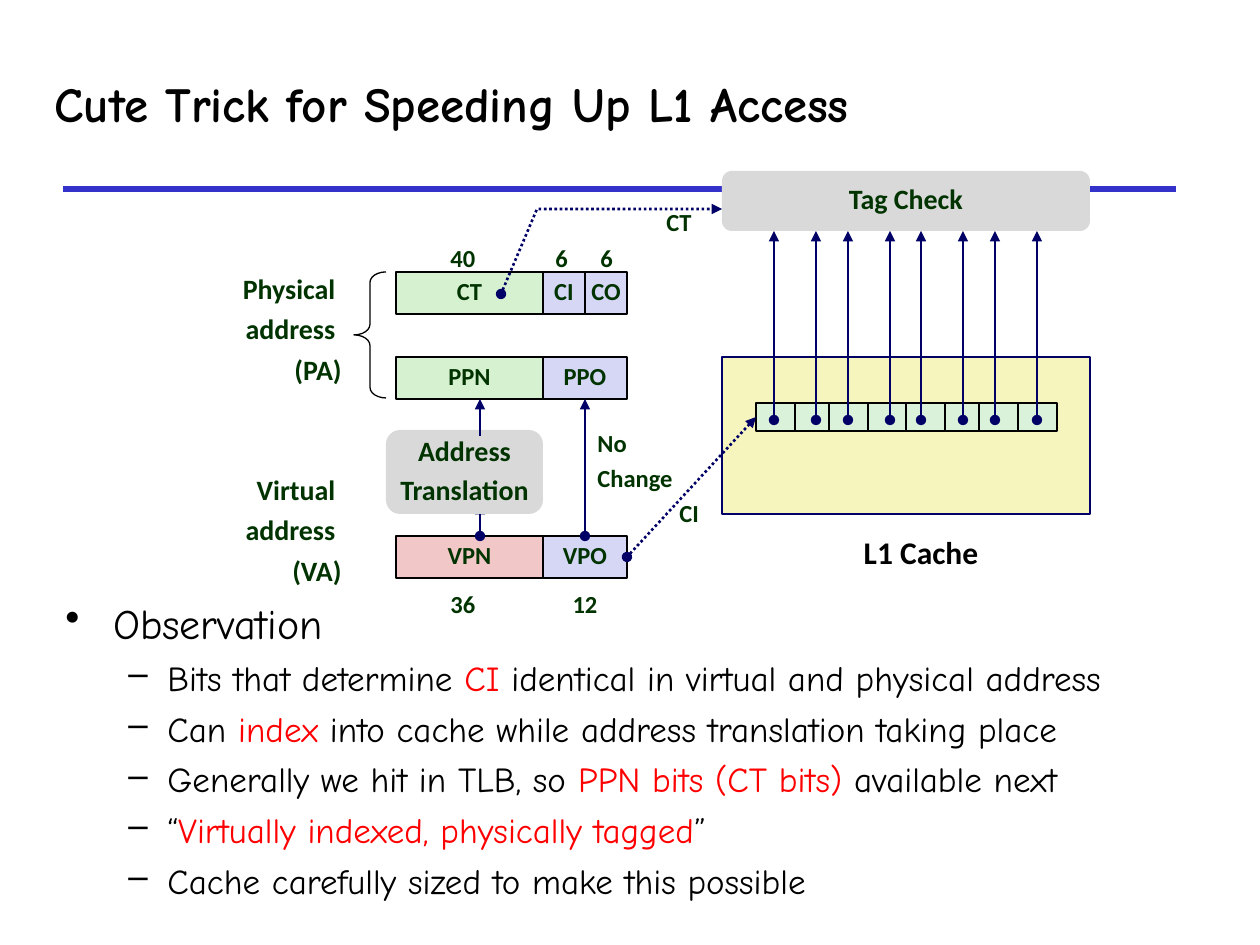
from lxml.etree import SubElement
from pptx import Presentation
from pptx.dml.color import RGBColor
from pptx.enum.dml import MSO_LINE
from pptx.enum.shapes import MSO_CONNECTOR, MSO_SHAPE
from pptx.enum.text import MSO_ANCHOR, MSO_AUTO_SIZE, PP_ALIGN
from pptx.oxml.ns import qn
from pptx.util import Emu, Inches, Pt

SCALE = 914400 / 126
LEFT, CENTER, RIGHT = PP_ALIGN.LEFT, PP_ALIGN.CENTER, PP_ALIGN.RIGHT
TOP_SIDE, LEFT_SIDE, BOTTOM_SIDE, RIGHT_SIDE = range(4)


def px(length):
    return Emu(round(length * SCALE))


def color(value):
    return RGBColor.from_string(value)


class SlideBuilder:
    heading_font = "Comic Neue"
    label_font = "Calibri"
    black = "000000"
    red = "FF0000"
    label = "003300"
    navy = "000066"
    rule = "3333CC"
    green = "D5F1CF"
    blue = "D6D6F5"
    pink = "F1C7C7"
    gray = "D9D9D9"
    yellow = "F6F5BD"
    mint = "DBF2DA"

    def __init__(self, presentation):
        self.slide = presentation.slides.add_slide(presentation.slide_layouts[6])
        self.shapes = self.slide.shapes

    def set_font(self, paragraph, name, size, ink, bold):
        font = paragraph.font
        font.name, font.size, font.bold = name, Pt(size), bold
        font.color.rgb = color(ink)

    def write_label(self, frame, text, size, align, ink=label, spacing=0.88, gap=5.2):
        for index, line in enumerate(text.split("\n")):
            paragraph = frame.add_paragraph() if index else frame.paragraphs[0]
            paragraph.add_run().text = line
            paragraph.alignment = align
            paragraph.line_spacing = spacing
            if index:
                paragraph.space_before = Pt(gap)
            self.set_font(paragraph, self.label_font, size, ink, True)

    def text_box(self, left, top, width, height, wrap=True):
        box = self.shapes.add_textbox(px(left), px(top), px(width), px(height))
        box.text_frame.word_wrap = wrap
        return box.text_frame

    def text_label(self, text, left, top, width, height, size=14, align=LEFT, wrap=False, **style):
        frame = self.text_box(left, top, width, height, wrap)
        frame.auto_size = MSO_AUTO_SIZE.SHAPE_TO_FIT_TEXT
        self.write_label(frame, text, size, align, **style)

    def title(self, text, left, top, width, height):
        frame = self.text_box(left, top, width, height)
        frame.vertical_anchor = MSO_ANCHOR.MIDDLE
        paragraph = frame.paragraphs[0]
        paragraph.add_run().text = text
        self.set_font(paragraph, self.heading_font, 28, self.black, True)

    def bullet(self, paragraph, level, runs):
        character, indent, hanging, size = (("•", 0.38, 0.38, 24), ("–", 0.81, 0.31, 20))[level]
        paragraph.level = level
        properties = paragraph._p.get_or_add_pPr()
        properties.set("marL", str(Inches(indent)))
        properties.set("indent", str(-Inches(hanging)))
        bullet_color = SubElement(properties, qn("a:buClr"))
        SubElement(bullet_color, qn("a:srgbClr"), val=self.black)
        SubElement(properties, qn("a:buChar"), char=character)
        if level:
            paragraph.space_before = Pt(5)
        for index, text in enumerate(runs):
            run = paragraph.add_run()
            run.text = text
            if index % 2:
                run.font.color.rgb = color(self.red)
        self.set_font(paragraph, self.heading_font, size, self.black, False)

    def bullets(self, items, left, top, width, height):
        frame = self.text_box(left, top, width, height)
        for index, (level, runs) in enumerate(items):
            paragraph = frame.add_paragraph() if index else frame.paragraphs[0]
            self.bullet(paragraph, level, runs)

    def box(self, left, top, width, height, fill, text="", size=14,
            kind=MSO_SHAPE.RECTANGLE, line=black, weight=0.75):
        shape = self.shapes.add_shape(kind, px(left), px(top), px(width), px(height))
        shape.shadow.inherit = False
        if fill:
            shape.fill.solid()
            shape.fill.fore_color.rgb = color(fill)
        else:
            shape.fill.background()
        if line:
            shape.line.color.rgb = color(line)
            shape.line.width = Pt(weight)
        else:
            shape.line.fill.background()
        if text:
            frame = shape.text_frame
            frame.word_wrap = False
            frame.vertical_anchor = MSO_ANCHOR.MIDDLE
            self.write_label(frame, text, size, CENTER)
        return shape

    def rounded_box(self, text, *bounds):
        return self.box(*bounds, self.gray, text, 16, MSO_SHAPE.ROUNDED_RECTANGLE, line=None)

    def brace(self, *bounds):
        brace = self.box(*bounds, None, kind=MSO_SHAPE.LEFT_BRACE)
        brace.adjustments[0] = 0.33

    def style_line(self, line, ink, weight, dotted=False, head=None, tail=None):
        line.color.rgb = color(ink)
        line.width = Pt(weight)
        if dotted:
            line.dash_style = MSO_LINE.ROUND_DOT
        element = line._get_or_add_ln()
        for tag, end in (("a:headEnd", head), ("a:tailEnd", tail)):
            if end:
                SubElement(element, qn(tag), type=end)

    def line(self, x1, y1, x2, y2, ink=navy, weight=0.75, **ends):
        connector = self.shapes.add_connector(MSO_CONNECTOR.STRAIGHT, px(x1), px(y1), px(x2), px(y2))
        SubElement(connector._element.spPr, qn("a:effectLst"))
        self.style_line(connector.line, ink, weight, **ends)
        return connector

    def arrow(self, x1, y1, x2, y2, head="oval", **style):
        return self.line(x1, y1, x2, y2, head=head, tail="triangle", **style)

    def dotted_path(self, start, *points):
        builder = self.shapes.build_freeform(*start, scale=SCALE)
        builder.add_line_segments(points, close=False)
        shape = builder.convert_to_shape()
        shape.shadow.inherit = False
        shape.fill.background()
        self.style_line(shape.line, self.navy, 1.5, True, "oval", "triangle")


def main():
    presentation = Presentation()
    presentation.slide_width, presentation.slide_height = Inches(10), Inches(7.5)
    page = SlideBuilder(presentation)

    page.line(63, 189, 1176, 189, ink=page.rule, weight=3)
    page.title("Cute Trick for Speeding Up L1 Access", 42, 63, 1092, 79)
    page.bullets([
        (0, ["Observation"]),
        (1, ["Bits that determine ", "CI", " identical in virtual and physical address"]),
        (1, ["Can ", "index", " into cache while address translation taking place"]),
        (1, ["Generally we hit in TLB, so ", "PPN bits (CT bits) ", "available next"]),
        (1, ["“", "Virtually indexed, physically tagged", "”"]),
        (1, ["Cache carefully sized to make this possible"]),
    ], 53, 591, 1178, 323)

    for text, left, top, width in (("Physical \naddress \n(PA)", 10, 270, 344),
                                   ("Virtual \naddress \n(VA)", 207, 471, 147)):
        page.text_label(text, left, top, width, 122, 16, RIGHT, True, gap=6)

    fields = {}
    for name, left, top, width, fill in (
        ("CT", 396, 272, 147, page.green),
        ("CI", 543, 272, 42, page.blue),
        ("CO", 585, 272, 42, page.blue),
        ("PPN", 396, 357, 147, page.green),
        ("PPO", 543, 357, 84, page.blue),
        ("VPN", 396, 536, 147, page.pink),
        ("VPO", 543, 536, 84, page.blue),
    ):
        fields[name] = page.box(left, top, width, 42, fill, name)

    for text, left, top, width in (("40", 438, 241, 54), ("6", 543, 241, 40),
                                   ("6", 588, 241, 40), ("36", 438, 587, 54)):
        page.text_label(text, left, top, width, 38)
    page.text_label("12", 543, 587, 84, 38, align=CENTER, wrap=True)
    page.brace(354, 272, 32, 126)

    page.arrow(480, 536, 480, 504)
    page.rounded_box("Address\nTranslation", 386, 430, 157, 84)
    page.arrow(480, 436, 480, 399, head=None)
    unchanged = page.arrow(585, 536, 585, 399)
    unchanged.begin_connect(fields["VPO"], TOP_SIDE)
    unchanged.end_connect(fields["PPO"], BOTTOM_SIDE)
    page.text_label("No\nChange", 585, 426, 105, 73)

    page.box(722, 357, 368, 157, page.yellow, line=page.navy, weight=1.5)
    cell_pairs = (756, 829, 906, 979)
    cells = [page.box(left + offset, 403, 39, 28, page.mint, weight=1)
             for left in cell_pairs for offset in (0, 39)]
    index_arrow = page.arrow(627, 557, 756, 417, weight=1.5, dotted=True)
    index_arrow.begin_connect(fields["VPO"], RIGHT_SIDE)
    index_arrow.end_connect(cells[0], LEFT_SIDE)
    page.text_label("CI", 667, 496, 54, 38)
    page.dotted_path((501, 294), (537, 209), (722, 209))
    page.text_label("L1 Cache", 837, 527, 168, 50, 18, CENTER, True, ink=page.black, spacing=1.0)
    page.text_label("CT", 654, 205, 60, 38)

    for left in (774, 848, 921, 995):
        for x in (left, left + 42):
            page.arrow(x, 420, x, 231)
    page.rounded_box("Tag Check", 722, 171, 368, 60)

    presentation.save("out.pptx")


if __name__ == "__main__":
    main()
